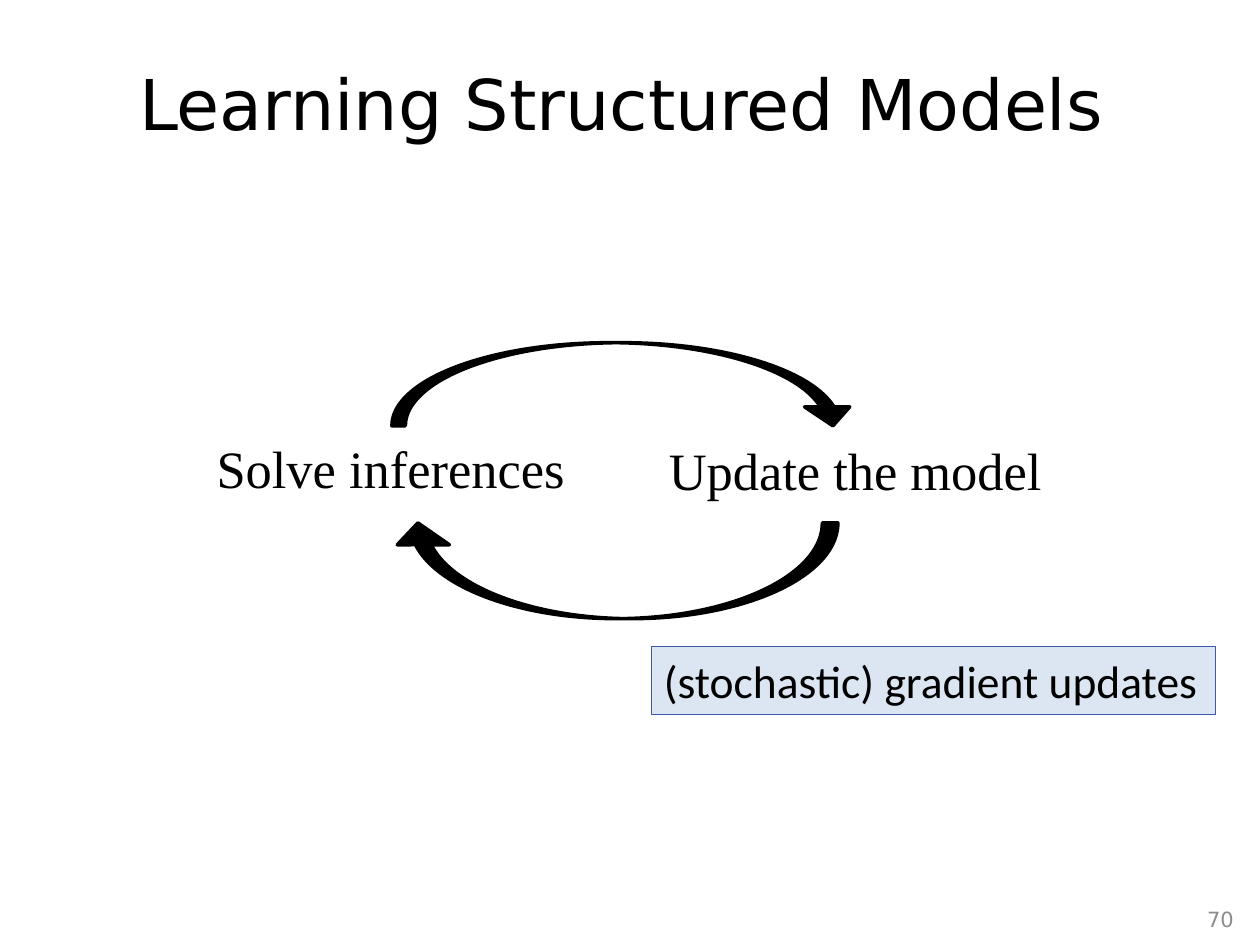
from pptx import Presentation
from pptx.dml.color import RGBColor
from pptx.enum.shapes import MSO_SHAPE as Shape
from pptx.enum.text import MSO_ANCHOR as Anchor, PP_ALIGN as Align
from pptx.util import Inches, Pt

BLACK = "000000"
GREY = "8C8C8C"
PALE_BLUE = "DCE6F2"
BLUE = "3C58AD"
SANS = "DejaVu Sans"
SERIF = "Times New Roman"


def color(hex_value):
    return RGBColor.from_string(hex_value)


def place(shape, left, top, width, height):
    shape.left, shape.top = Inches(left), Inches(top)
    shape.width, shape.height = Inches(width), Inches(height)


def set_text(shape, text, size, font=SANS, fill=BLACK, align=Align.LEFT,
             anchor=Anchor.TOP, wrap=False):
    frame = shape.text_frame
    frame.word_wrap = wrap
    frame.vertical_anchor = anchor
    paragraph = frame.paragraphs[0]
    paragraph.alignment = align
    run = paragraph.add_run()
    run.text = text
    run.font.name = font
    run.font.size = Pt(size)
    run.font.color.rgb = color(fill)


def add_text(slide, box, text, size, **text_format):
    textbox = slide.shapes.add_textbox(*map(Inches, box))
    set_text(textbox, text, size, **text_format)


def add_shape(slide, kind, box, fill, line, line_width):
    shape = slide.shapes.add_shape(kind, *map(Inches, box))
    shape.shadow.inherit = False
    shape.fill.solid()
    shape.fill.fore_color.rgb = color(fill)
    shape.line.color.rgb = color(line)
    shape.line.width = Pt(line_width)
    return shape


def add_cycle_arrow(slide, box, rotation=0):
    arrow = add_shape(slide, Shape.CURVED_DOWN_ARROW, box, BLACK, BLACK, 2)
    for index, value in enumerate((0.163, 0.544, 0.228)):
        arrow.adjustments[index] = round(value, 3)
    arrow.rotation = rotation


def main():
    presentation = Presentation()
    presentation.slide_width, presentation.slide_height = Inches(10), Inches(7.5)
    slide = presentation.slides.add_slide(presentation.slide_layouts[5])

    title = slide.shapes.title
    place(title, 0.62, 0.09, 8.62, 1.45)
    set_text(title, "Learning Structured Models", 40, align=Align.CENTER,
             anchor=Anchor.MIDDLE, wrap=True)
    add_text(slide, (8.89, 7.17, 1, 0.25), "70", 12, fill=GREY,
             align=Align.RIGHT, anchor=Anchor.MIDDLE, wrap=True)

    add_text(slide, (1.62, 3.41, 2.98, 0.61), "Solve inferences", 30, font=SERIF)
    add_text(slide, (5.21, 3.43, 3.2, 0.61), "Update the model", 30, font=SERIF)
    add_cycle_arrow(slide, (3.11, 2.72, 3.68, 0.66))
    add_cycle_arrow(slide, (3.11, 4.15, 3.54, 0.76), rotation=180)

    note = add_shape(slide, Shape.RECTANGLE, (5.17, 5.13, 4.48, 0.54),
                     PALE_BLUE, BLUE, 0.75)
    set_text(note, "(stochastic) gradient updates", 26, font="Calibri")

    presentation.save("out.pptx")


if __name__ == "__main__":
    main()
